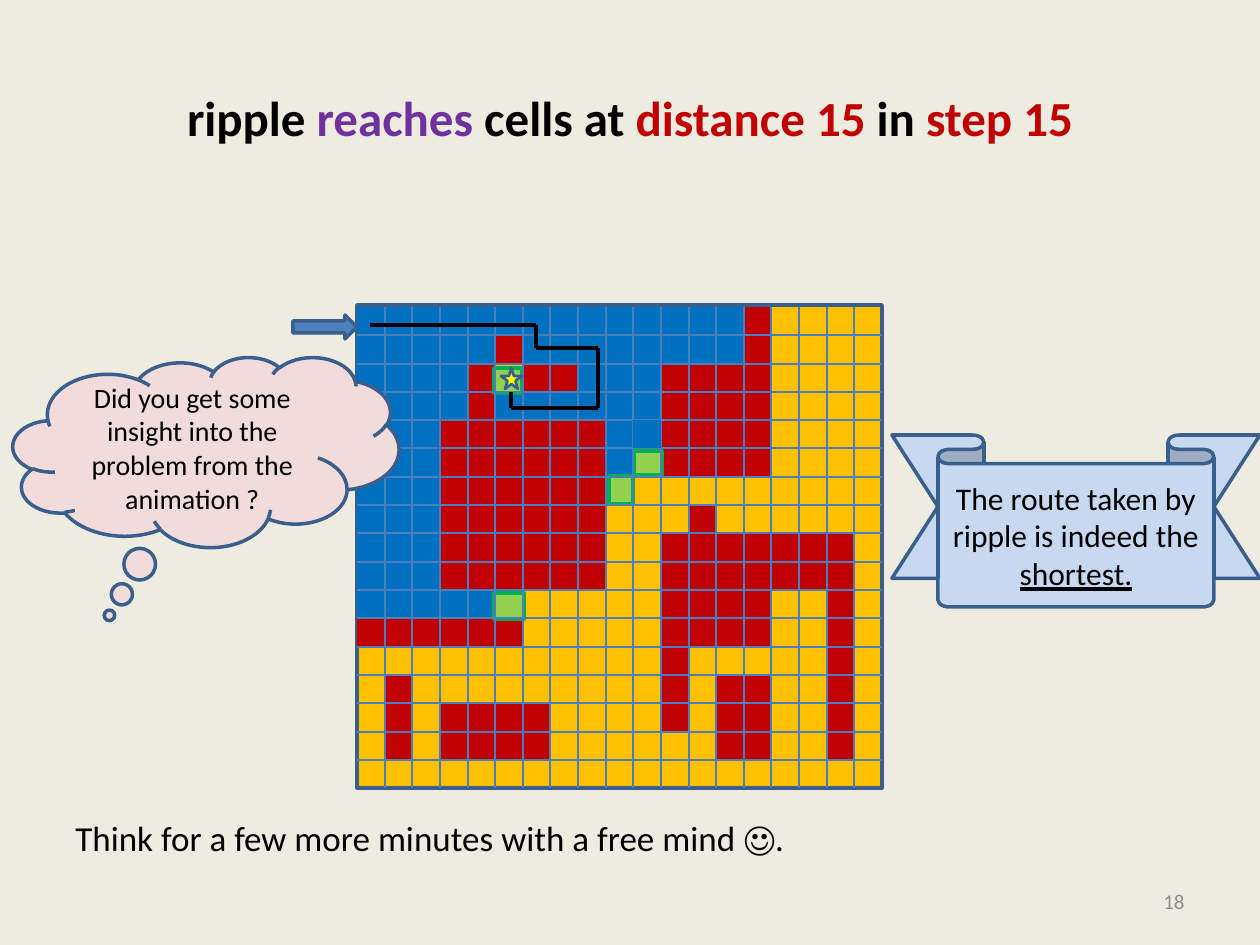
from itertools import pairwise

from lxml.etree import SubElement
from pptx import Presentation
from pptx.dml.color import RGBColor
from pptx.enum.shapes import MSO_CONNECTOR as Connector, MSO_SHAPE as Shape
from pptx.enum.text import MSO_ANCHOR as Anchor, PP_ALIGN as Align
from pptx.oxml.ns import qn
from pptx.util import Emu, Pt

PX = 914400 // 126
FONT = "Calibri"

BACKGROUND = RGBColor(0xEE, 0xEC, 0xE1)
BLACK = RGBColor(0x00, 0x00, 0x00)
PURPLE = RGBColor(0x70, 0x30, 0xA0)
RED = RGBColor(0xC0, 0x00, 0x00)
ORANGE = RGBColor(0xFF, 0xC0, 0x00)
BLUE = RGBColor(0x00, 0x70, 0xC0)
GREEN = RGBColor(0x92, 0xD0, 0x50)
DARK_GREEN = RGBColor(0x00, 0xB0, 0x50)
YELLOW = RGBColor(0xFF, 0xFF, 0x00)
ARROW_BLUE = RGBColor(0x4F, 0x81, 0xBD)
OUTLINE = RGBColor(0x3A, 0x5F, 0x8C)
GRID_LINE = RGBColor(0x4B, 0x7E, 0xBC)
PALE_BLUE = RGBColor(0xC6, 0xD9, 0xF1)
PINK = RGBColor(0xF2, 0xDC, 0xDB)
GREY = RGBColor(0x8C, 0x8C, 0x8C)

# Text as (words, colour, underlined)
TITLE = [("ripple ", BLACK, False), ("reaches ", PURPLE, False),
         ("cells at ", BLACK, False), ("distance 15 ", RED, False),
         ("in ", BLACK, False), ("step 15", RED, False)]
CLOSING = [("Think for a few more minutes with a free mind ☺.", BLACK, False)]
PAGE_NUMBER = [("18", GREY, False)]
RIBBON = [("The route taken by ripple is indeed the ", BLACK, False),
          ("shortest.", BLACK, True)]
CLOUD = [("Did you get some insight into the problem from the animation ?",
          BLACK, False)]

# Grid of cells; blocks are (column, row, columns, rows)
GRID = (357, 305, 525, 483)
LEFT, TOP, RIGHT, BOTTOM = 357, 307, 882, 788
COLUMNS, ROWS = 19, 17
CELL_WIDTH, CELL_HEIGHT = 27.63, 28.3
OBSTACLES = [(11, 2, 4, 4), (11, 8, 4, 4), (3, 14, 4, 2), (13, 13, 2, 3),
             (6, 2, 2, 1), (0, 11, 6, 1), (1, 13, 1, 3), (11, 12, 1, 3),
             (4, 2, 1, 3), (5, 1, 1, 1), (3, 4, 6, 6), (14, 0, 1, 3),
             (14, 8, 4, 2), (17, 10, 1, 6), (12, 7, 1, 1)]
REACHED = [(0, 0, 3, 6), (0, 2, 1, 1), (2, 0, 1, 1), (0, 10, 5, 1),
           (3, 0, 1, 4), (0, 5.5, 1, 2.5), (4, 0, 10, 1), (4, 1, 1, 1),
           (1, 6, 1, 1), (6, 1, 1, 1), (2, 6, 1, 1), (1, 7, 1, 1),
           (0, 7.5, 1, 2.5), (7, 1, 1, 1), (8, 1, 6, 1), (2, 7, 1, 2),
           (1, 8, 2, 2), (8, 2, 3, 1), (5, 3, 6, 1), (9, 4, 1, 2)]
LAST_REACHED = (10, 4, 1, 1)
FRONTIER = [(494, 593, 30, 26), (494, 368, 28, 25),
            (634, 451, 28, 24), (609, 476, 24, 28)]
ROUTE = [(370, 325), (536, 325), (536, 348), (598, 348),
         (598, 408), (511, 408), (511, 392)]

presentation = Presentation()
presentation.slide_width, presentation.slide_height = Emu(1260 * PX), Emu(945 * PX)
slide = presentation.slides.add_slide(presentation.slide_layouts[6])
slide.background.fill.solid()
slide.background.fill.fore_color.rgb = BACKGROUND


def px(*values):
    return [Emu(round(value) * PX) for value in values]


def add_shape(kind, box, fill, line=None, width=2):
    shape = slide.shapes.add_shape(kind, *px(*box))
    shape.shadow.inherit = False
    shape.fill.solid()
    shape.fill.fore_color.rgb = fill
    if line is None:
        shape.line.fill.background()
    else:
        shape.line.color.rgb = line
        shape.line.width = Pt(width)
    return shape


def add_block(block, fill):
    column, row, columns, rows = block
    left, right = (round(LEFT + CELL_WIDTH * c) for c in (column, column + columns))
    top, bottom = (round(TOP + CELL_HEIGHT * r) for r in (row, row + rows))
    add_shape(Shape.RECTANGLE, (left, top, right - left, bottom - top), fill)


def add_line(start, end, color, width):
    line = slide.shapes.add_connector(Connector.STRAIGHT, *px(*start, *end))
    line.line.color.rgb = color
    line.line.width = Pt(width)
    SubElement(line._element.spPr, qn("a:effectLst"))


def write(shape, pieces, size, align, bold=False):
    frame = shape.text_frame
    frame.word_wrap = True
    frame.vertical_anchor = Anchor.MIDDLE
    paragraph = frame.paragraphs[0]
    paragraph.alignment = align
    for words, color, underlined in pieces:
        run = paragraph.add_run()
        run.text = words
        run.font.name, run.font.size, run.font.bold = FONT, Pt(size), bold
        run.font.color.rgb = color
        if underlined:
            run.font.underline = True


# Title, closing sentence and page number
for box, pieces, size, align, bold in [
        ((63, 38, 1134, 158), TITLE, 28, Align.CENTER, True),
        ((63, 810, 1134, 55), CLOSING, 20, Align.LEFT, False),
        ((903, 876, 294, 50), PAGE_NUMBER, 12, Align.RIGHT, False)]:
    write(slide.shapes.add_textbox(*px(*box)), pieces, size, align, bold)

# Board with its entrance, obstacles, reached cells and frontier
add_shape(Shape.RECTANGLE, GRID, ORANGE, OUTLINE)
add_shape(Shape.RIGHT_ARROW, (293, 315, 64, 24), ARROW_BLUE, OUTLINE)
for block in OBSTACLES:
    add_block(block, RED)
for block in REACHED:
    add_block(block, BLUE)
for box in FRONTIER:
    add_shape(Shape.RECTANGLE, box, GREEN, DARK_GREEN)

# Grid lines
for column in range(1, COLUMNS):
    x = LEFT + CELL_WIDTH * column
    add_line((x, TOP), (x, BOTTOM), GRID_LINE, 0.75)
for row in range(1, ROWS):
    y = TOP + CELL_HEIGHT * row
    add_line((LEFT, y), (RIGHT, y), GRID_LINE, 0.75)

# Destination star and the route to it
add_block(LAST_REACHED, BLUE)
add_shape(Shape.STAR_5_POINT, (501, 368, 21, 21), YELLOW, OUTLINE, 1.5)
for start, end in pairwise(ROUTE):
    add_line(start, end, BLACK, 2.25)

# Ribbon and thought cloud
ribbon = add_shape(Shape.DOWN_RIBBON, (892, 435, 368, 172), PALE_BLUE, OUTLINE)
ribbon.adjustments[0], ribbon.adjustments[1] = 0.167, 0.75
write(ribbon, RIBBON, 18, Align.CENTER)
cloud = add_shape(Shape.CLOUD_CALLOUT, (13, 357, 386, 190), PINK, OUTLINE)
cloud.adjustments[0], cloud.adjustments[1] = -0.25, 0.86
write(cloud, CLOUD, 16, Align.CENTER)

presentation.save("out.pptx")
